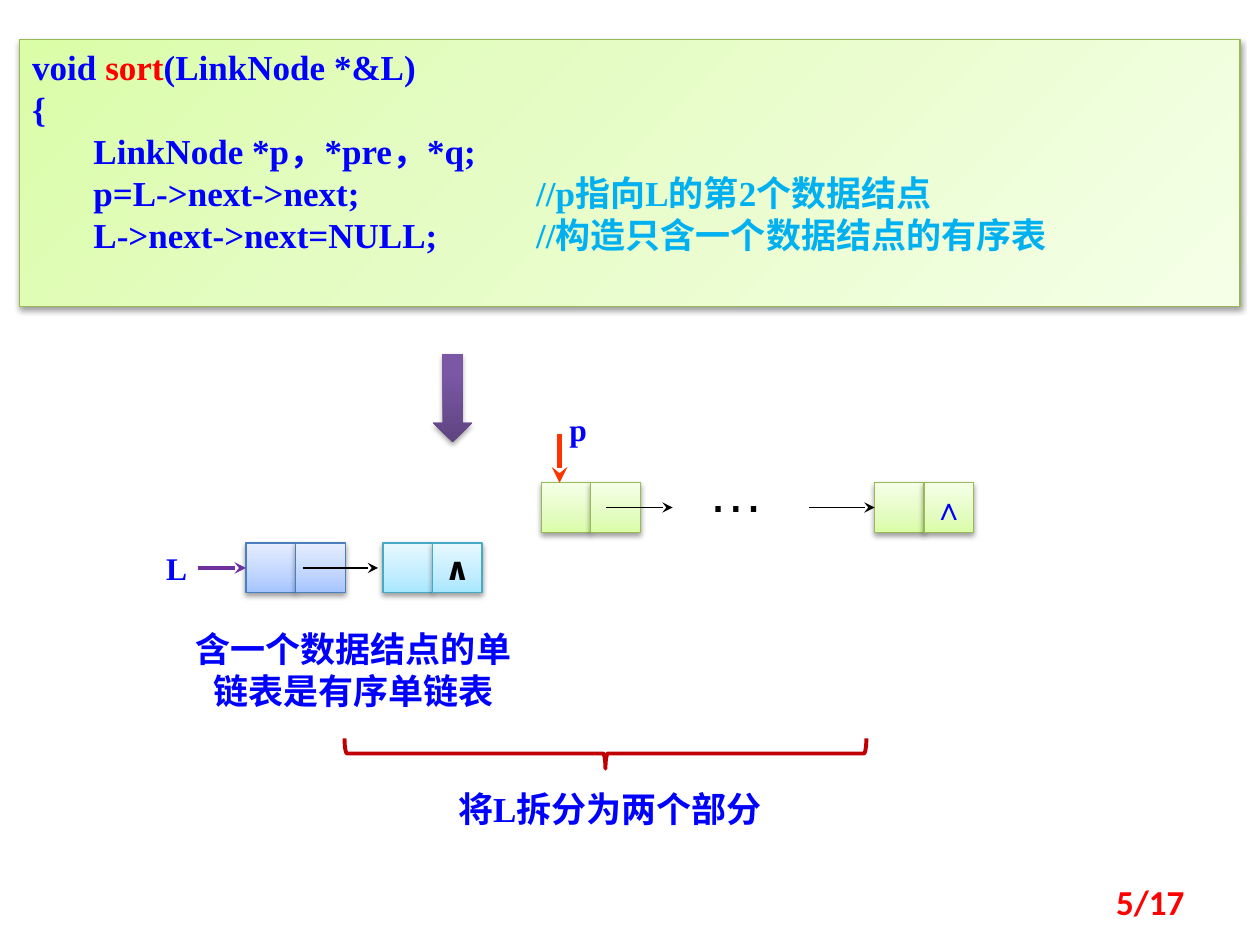
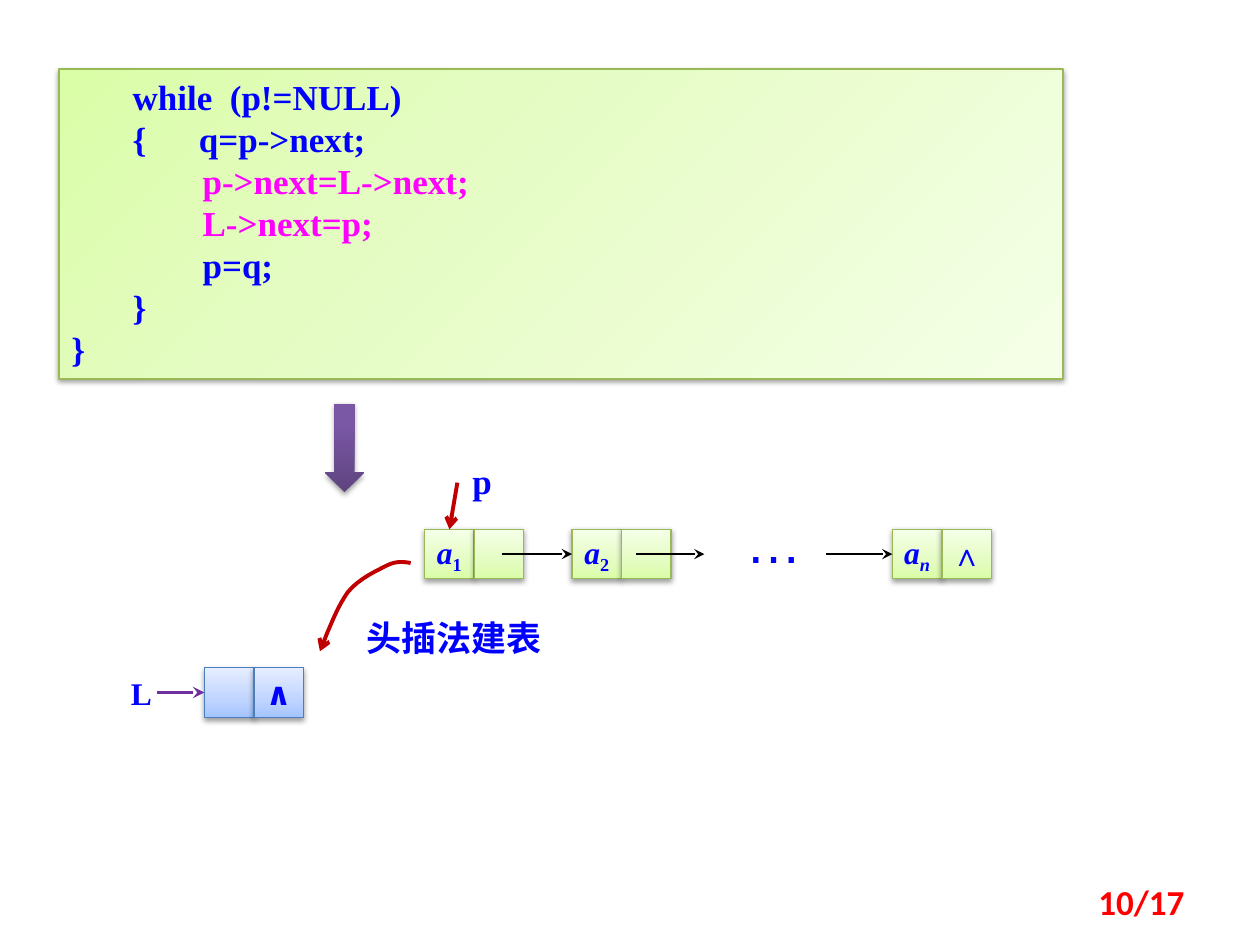
import lxml.etree
import pptx
import pptx.dml.color
import pptx.enum.shapes
import pptx.enum.text
import pptx.oxml.ns
import pptx.util

Cm = pptx.util.Cm
Pt = pptx.util.Pt
qn = pptx.oxml.ns.qn
Preset = pptx.enum.shapes.MSO_SHAPE
Align = pptx.enum.text.PP_ALIGN
Anchor = pptx.enum.text.MSO_ANCHOR
rgb = pptx.dml.color.RGBColor.from_string

SERIF, SYMBOL, DOTS, CHINESE = "Times New Roman", "DejaVu Sans", "Arial", "Noto Sans CJK SC"
BLUE, RED, BLACK, SKY = "0000FF", "FF0000", "000000", "00B0F0"
PINK, PURPLE, CRIMSON, ORANGE = "FF00FF", "7030A0", "C00000", "FF3300"
CELL = 1.0
CODE_TABS = (7.62, 10.16)

# gradient stops (percent, colour) and outline colour
GREEN_FILL = [(0, "DAFDA7"), (35, "E4FCC2"), (100, "F5FFE7")], "98B955"
BLUE_FILL = [(0, "A4C4FF"), (35, "BFD4FF"), (100, "E6EEFF")], "4B7EBC"
CYAN_FILL = [(0, "A7E6FF"), (35, "C1EDFF"), (100, "E7F8FF")], "46AAC5"
PURPLE_FILL = [(0, "5F4480"), (80, "7B58A6"), (100, "7C57A8")], None


def paint(shape, palette, angle=90):
    """Give a shape its gradient, outline and soft shadow."""
    stops, outline = palette
    shape.fill.gradient()
    shape.fill.gradient_angle = angle
    stop_list = shape.element.spPr.find(qn("a:gradFill")).find(qn("a:gsLst"))
    for stop in list(stop_list):
        stop_list.remove(stop)
    for percent, colour in stops:
        stop = lxml.etree.SubElement(stop_list, qn("a:gs"), pos=str(percent * 1000))
        lxml.etree.SubElement(stop, qn("a:srgbClr"), val=colour)
    if outline:
        shape.line.color.rgb = rgb(outline)
        shape.line.width = Pt(0.75)
    else:
        shape.line.fill.background()
    shape.shadow.inherit = False
    effects = shape.element.spPr.find(qn("a:effectLst"))
    shadow = lxml.etree.SubElement(effects, qn("a:outerShdw"), blurRad="40000", dist="20000",
                                   dir="5400000", rotWithShape="0")
    tint = lxml.etree.SubElement(shadow, qn("a:srgbClr"), val=BLACK)
    lxml.etree.SubElement(tint, qn("a:alpha"), val="38000")


def write(frame, lines, size, colour, font=SERIF, bold=True, align=Align.LEFT):
    """Fill a frame; a line is a list of spans, each (text, own colour or None)."""
    for number, spans in enumerate(lines):
        line_text = "".join(text for text, _ in spans)
        para = frame.paragraphs[0] if number == 0 else frame.add_paragraph()
        para.alignment = align
        if "\t" in line_text:
            tabs = lxml.etree.SubElement(para._p.get_or_add_pPr(), qn("a:tabLst"))
            for position in CODE_TABS:
                lxml.etree.SubElement(tabs, qn("a:tab"), pos=str(Cm(position)), algn="l")
        para.font.size = Pt(size)
        para.font.bold = bold
        para.font.name = font
        para.font.color.rgb = rgb(colour)
        has_chinese = max(line_text) >= "一"
        lxml.etree.SubElement(para.font._element, qn("a:ea"),
                              typeface=CHINESE if has_chinese else font)
        for text, own_colour in spans:
            span = para.add_run()
            span.text = text
            if own_colour:
                span.font.color.rgb = rgb(own_colour)


# code: box, lines
# nodes: name -> left, top, palette, data label, end mark (font, colour)
# links: start, end, colour, width, arrowhead, joined node and side
# labels: box, text, size, colour, font, alignment
pages = [
    {
        "number": "5/17",
        "code_box": (0.4, 0.8, 24.6, 5.38),
        "code": [
            [("void ", None), ("sort", RED), ("(LinkNode *&L)", None)],
            [("{", None)],
            [("       LinkNode *p，*pre，*q;", None)],
            [("       p=L->next->next;\t\t", None), ("//p指向L的第2个数据结点", SKY)],
            [("       L->next->next=NULL;\t", None), ("//构造只含一个数据结点的有序表", SKY)],
        ],
        "nodes": {
            "head": (4.96, 10.95, BLUE_FILL, "", None),
            "sorted": (7.72, 10.95, CYAN_FILL, "", (SYMBOL, BLACK)),
            "first": (10.91, 9.73, GREEN_FILL, "", None),
            "last": (17.63, 9.73, GREEN_FILL, "", (SERIF, BLUE)),
        },
        "links": [
            ((3.99, 11.45), (4.96, 11.45), PURPLE, 2.25, "stealth", ("head", 1)),
            ((6.1, 11.45), (7.62, 11.45), BLACK, 0.75, "stealth", None),
            ((12.22, 10.23), (13.56, 10.23), BLACK, 0.75, "stealth", None),
            ((16.31, 10.23), (17.63, 10.23), BLACK, 0.75, "stealth", ("last", 1)),
            ((11.28, 8.74), (11.28, 9.73), ORANGE, 3, "stealth", None),
        ],
        "labels": [
            ((3.1, 10.95, 1.55, 1.02), "L", 18, BLUE, SERIF, Align.LEFT),
            ((11.23, 8.14, 1, 1.02), "p", 18, BLUE, SERIF, Align.LEFT),
            ((14.02, 9.07, 2, 1.6), "…", 32, BLACK, DOTS, Align.LEFT),
            ((3.57, 12.52, 7.11, 1.96), "含一个数据结点的单链表是有序单链表", 20, BLUE, CHINESE,
             Align.CENTER),
            ((8.73, 15.75, 7.14, 1.12), "将L拆分为两个部分", 20, BLUE, SERIF, Align.CENTER),
        ],
        "down_arrow": (8.73, 7.14),
        "brace": (11.9, 9.93, 0.61, 10.52),
        "curve": None,
    },
    {
        "number": "10/17",
        "code_box": (1.19, 1.39, 20.24, 6.25),
        "code": [
            [("       while  (p!=NULL)", None)],
            [("       {      q=p->next;", None)],
            [("               p->next=L->next;", PINK)],
            [("               L->next=p;", PINK)],
            [("               p=q;", None)],
            [("       }", None)],
            [("}", None)],
        ],
        "nodes": {
            "head": (4.12, 13.46, BLUE_FILL, "", (SYMBOL, BLUE)),
            "first": (8.56, 10.67, GREEN_FILL, "a1", None),
            "second": (11.53, 10.67, GREEN_FILL, "a2", None),
            "last": (17.99, 10.67, GREEN_FILL, "an", (SERIF, BLUE)),
        },
        "links": [
            ((3.16, 13.96), (4.12, 13.96), PURPLE, 2.25, "stealth", ("head", 1)),
            ((10.11, 11.17), (11.53, 11.17), BLACK, 0.75, "stealth", ("second", 1)),
            ((12.83, 11.17), (14.2, 11.17), BLACK, 0.75, "stealth", None),
            ((16.66, 11.17), (17.99, 11.17), BLACK, 0.75, "stealth", ("last", 1)),
            ((9.22, 9.73), (9.06, 10.67), CRIMSON, 2.25, "arrow", ("first", 0)),
        ],
        "labels": [
            ((2.39, 13.46, 0.74, 1.02), "L", 18, BLUE, SERIF, Align.LEFT),
            ((9.02, 9.13, 1.4, 1.12), "p", 20, BLUE, SERIF, Align.CENTER),
            ((14.78, 10.11, 2, 1.6), "…", 32, BLUE, DOTS, Align.LEFT),
            ((7.14, 12.3, 5.21, 1.09), "头插法建表", 20, BLUE, CHINESE, Align.LEFT),
        ],
        "down_arrow": (6.55, 8.14),
        "brace": None,
        # Bézier points: a start, then three for each piece
        "curve": [(8.28, 11.35), (8.15, 11.33), (8.0, 11.3), (7.8, 11.4),
                  (7.59, 11.51), (7.24, 11.66), (7.01, 11.94),
                  (6.81, 12.22), (6.63, 12.67), (6.45, 13.13)],
    },
]

deck = pptx.Presentation()
deck.slide_width, deck.slide_height = Cm(25.4), Cm(19.05)

for content in pages:
    page = deck.slides.add_slide(deck.slide_layouts[6])
    shapes = page.shapes
    arrows = []

    code_box = shapes.add_shape(Preset.RECTANGLE, *map(Cm, content["code_box"]))
    paint(code_box, GREEN_FILL, angle=315)
    code_box.text_frame.vertical_anchor = Anchor.TOP
    write(code_box.text_frame, content["code"], 20, BLUE)

    first_cells = {}
    for name, (left, top, palette, label, end_mark) in content["nodes"].items():
        data_cell, next_cell = [
            shapes.add_shape(Preset.RECTANGLE, Cm(left + i * CELL), Cm(top), Cm(CELL), Cm(CELL))
            for i in range(2)]
        first_cells[name] = data_cell
        for cell in (data_cell, next_cell):
            paint(cell, palette)
            cell.text_frame.word_wrap = False
            cell.text_frame.vertical_anchor = Anchor.MIDDLE
        if label:
            write(data_cell.text_frame, [[(letter, None) for letter in label]], 18, BLUE,
                  align=Align.CENTER)
            letter, index = data_cell.text_frame.paragraphs[0].runs
            letter.font.italic = True
            index.font.italic = index.text.isalpha()
            index.font._element.set("baseline", "-25000")
        if end_mark:
            font, colour = end_mark
            write(next_cell.text_frame, [[("∧", None)]], 18, colour, font, align=Align.CENTER)

    for start, end, colour, width, head, joint in content["links"]:
        link = shapes.add_connector(pptx.enum.shapes.MSO_CONNECTOR.STRAIGHT,
                                    *map(Cm, start + end))
        if joint:
            name, side = joint
            link.end_connect(first_cells[name], side)
        arrows.append((link, colour, width, head))

    if content["curve"]:
        points = content["curve"]
        traced = [points[0]]
        for i in range(0, len(points) - 1, 3):
            for step in range(1, 9):
                t = step / 8
                weights = ((1 - t) ** 3, 3 * t * (1 - t) ** 2, 3 * t * t * (1 - t), t ** 3)
                traced.append(tuple(sum(w * point[axis] for w, point in zip(weights, points[i:i + 4]))
                                    for axis in range(2)))
        # whole drawing units are needed, so a unit is a thousandth of a centimetre
        traced = [(round(x * 1000), round(y * 1000)) for x, y in traced]
        builder = shapes.build_freeform(*traced[0], scale=Cm(0.001))
        builder.add_line_segments(traced[1:], close=False)
        curve = builder.convert_to_shape()
        curve.fill.background()
        arrows.append((curve, CRIMSON, 2.25, "arrow"))

    for arrow, colour, width, head in arrows:
        arrow.line.color.rgb = rgb(colour)
        arrow.line.width = Pt(width)
        lxml.etree.SubElement(arrow.line._get_or_add_ln(), qn("a:tailEnd"), type=head)
        lxml.etree.SubElement(arrow.element.spPr, qn("a:effectLst"))

    down_arrow = shapes.add_shape(Preset.DOWN_ARROW, *map(Cm, content["down_arrow"]),
                                  Cm(0.79), Cm(1.78))
    paint(down_arrow, PURPLE_FILL)

    if content["brace"]:
        brace = shapes.add_shape(Preset.RIGHT_BRACE, *map(Cm, content["brace"]))
        brace.rotation = 90
        brace.fill.background()
        brace.line.color.rgb = rgb(CRIMSON)
        brace.line.width = Pt(2.25)
        brace.shadow.inherit = False

    page_number = ((18.21, 17.66, 5.92, 1.02), content["number"], 20, RED, "Calibri", Align.RIGHT)
    for place, text, size, colour, font, align in content["labels"] + [page_number]:
        box = shapes.add_textbox(*map(Cm, place))
        box.text_frame.word_wrap = True
        write(box.text_frame, [[(text, None)]], size, colour, font, font != DOTS, align)
    box.text_frame.vertical_anchor = Anchor.MIDDLE

deck.save("out.pptx")
